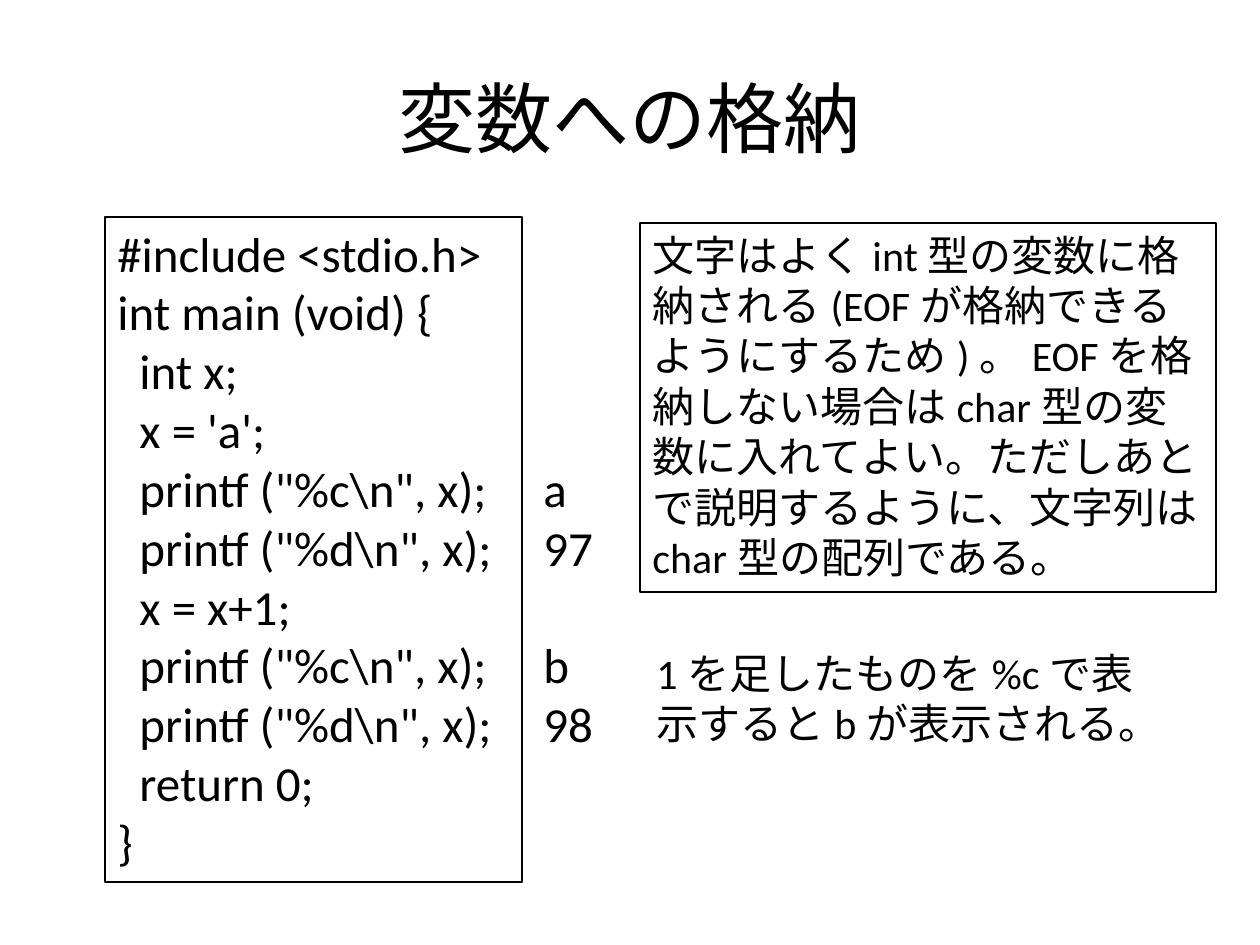
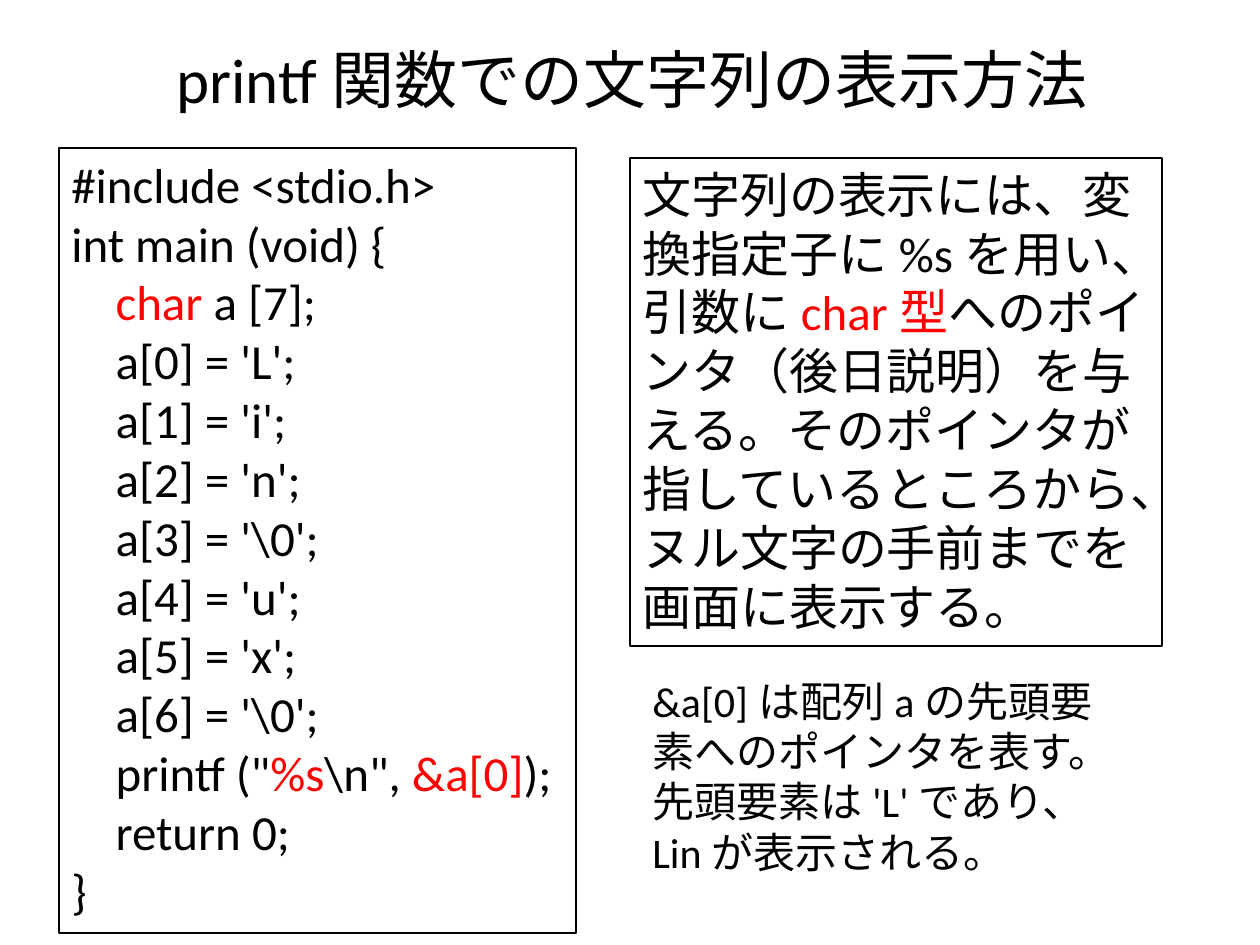
"""Build two slides on characters and strings in C."""
from pptx import Presentation
from pptx.dml.color import RGBColor
from pptx.enum.lang import MSO_LANGUAGE_ID
from pptx.enum.text import MSO_ANCHOR, MSO_AUTO_SIZE, PP_ALIGN
from pptx.util import Pt

PX = 914400 / 126
FONT = "Calibri"
BLACK = RGBColor(0x00, 0x00, 0x00)
RED = RGBColor(0xFF, 0x00, 0x00)
CENTER = PP_ALIGN.CENTER
MIDDLE = MSO_ANCHOR.MIDDLE
GROW = MSO_AUTO_SIZE.SHAPE_TO_FIT_TEXT
FIXED = MSO_AUTO_SIZE.NONE
JAPANESE = MSO_LANGUAGE_ID.JAPANESE
LARGE, SMALL = 28, 24


def emu(px):
    """Turn px into EMU."""
    return round(px * PX)


class Deck:
    """Hold the style and the current slide."""

    def __init__(self):
        """Start a deck of 4:3 slides."""
        self.prs = Presentation()
        self.prs.slide_width, self.prs.slide_height = emu(1260), emu(945)
        self.slide = None

    def start(self, title, area, size):
        """Add a slide with its title."""
        self.slide = self.prs.slides.add_slide(self.prs.slide_layouts[5])
        shape = self.slide.shapes.title
        shape.left, shape.top, shape.width, shape.height = map(emu, area)
        frame = shape.text_frame
        frame.auto_size = FIXED
        frame.vertical_anchor = MIDDLE
        self.fill(frame.paragraphs[0], title, size)
        frame.paragraphs[0].alignment = CENTER

    def fill(self, para, text, size):
        """Add runs to a paragraph, with the parts between bars in red."""
        for index, part in enumerate(text.split("|")):
            run = para.add_run()
            run.text = part
            font = run.font
            font.name, font.size = FONT, Pt(size)
            font.language_id = JAPANESE
            font.color.rgb = RED if index % 2 else BLACK

    def text(self, lines, area, size, wrap=True):
        """Add a text box with one paragraph a line."""
        box = self.slide.shapes.add_textbox(*map(emu, area))
        frame = box.text_frame
        frame.word_wrap = wrap
        frame.auto_size = GROW
        for index, line in enumerate(lines):
            para = frame.add_paragraph() if index else frame.paragraphs[0]
            self.fill(para, line, size)
        return box

    def panel(self, lines, area, size):
        """Add a text box with a thin black frame."""
        box = self.text(lines, area, size)
        box.line.color.rgb = BLACK
        box.line.width = Pt(0.75)


def store(deck):
    """Build the slide on storing a character in a variable."""
    deck.start("変数への格納", (63, 38, 1134, 157), 44)
    show = [r'  printf ("%c\n", x);', r'  printf ("%d\n", x);']
    code = ["#include <stdio.h>", "int main (void) {", "  int x;", "  x = 'a';",
            *show, "  x = x+1;", *show, "  return 0;", "}"]
    deck.panel(code, (105, 217, 417, 665), LARGE)
    deck.panel(["文字はよくint型の変数に格納される(EOFが格納できるようにするため)。"
                "EOFを格納しない場合はchar型の変数に入れてよい。"
                "ただしあとで説明するように、文字列はchar型の配列である。"],
               (640, 223, 576, 369), SMALL)
    deck.text(["1を足したものを%cで表示するとbが表示される。"],
              (644, 641, 542, 115), SMALL)
    output = deck.text(["a", "97", "b", "98"], (531, 452, 75, 310), LARGE, False)
    output.text_frame.paragraphs[2].space_before = Pt(33.5)


def string(deck):
    """Build the slide on printing a string."""
    deck.start("printf関数での文字列の表示方法", (63, 0, 1138, 157), 36)
    deck.panel(["文字列の表示には、変換指定子に%sを用い、引数に|char型|"
                "へのポインタ（後日説明）を与える。そのポインタが"
                "指しているところから、ヌル文字の手前までを画面に表示する。"],
               (630, 158, 532, 488), LARGE)
    chars = ["L", "i", "n", r"\0", "u", "x", r"\0"]
    code = ["#include <stdio.h>", "int main (void) {", "    |char| a [7];",
            *(f"    a[{i}] = '{char}';" for i, char in enumerate(chars)),
            r'    printf ("|%s|\n", |&a[0]|);', "    return 0;", "}"]
    deck.panel(code, (59, 148, 517, 785), LARGE)
    deck.text(["&a[0]は配列aの先頭要素へのポインタを表す。"
               "先頭要素は'L'であり、Linが表示される。"],
              (640, 669, 493, 217), SMALL)


def main():
    """Build and save the deck."""
    deck = Deck()
    store(deck)
    string(deck)
    deck.prs.save("out.pptx")


if __name__ == "__main__":
    main()
